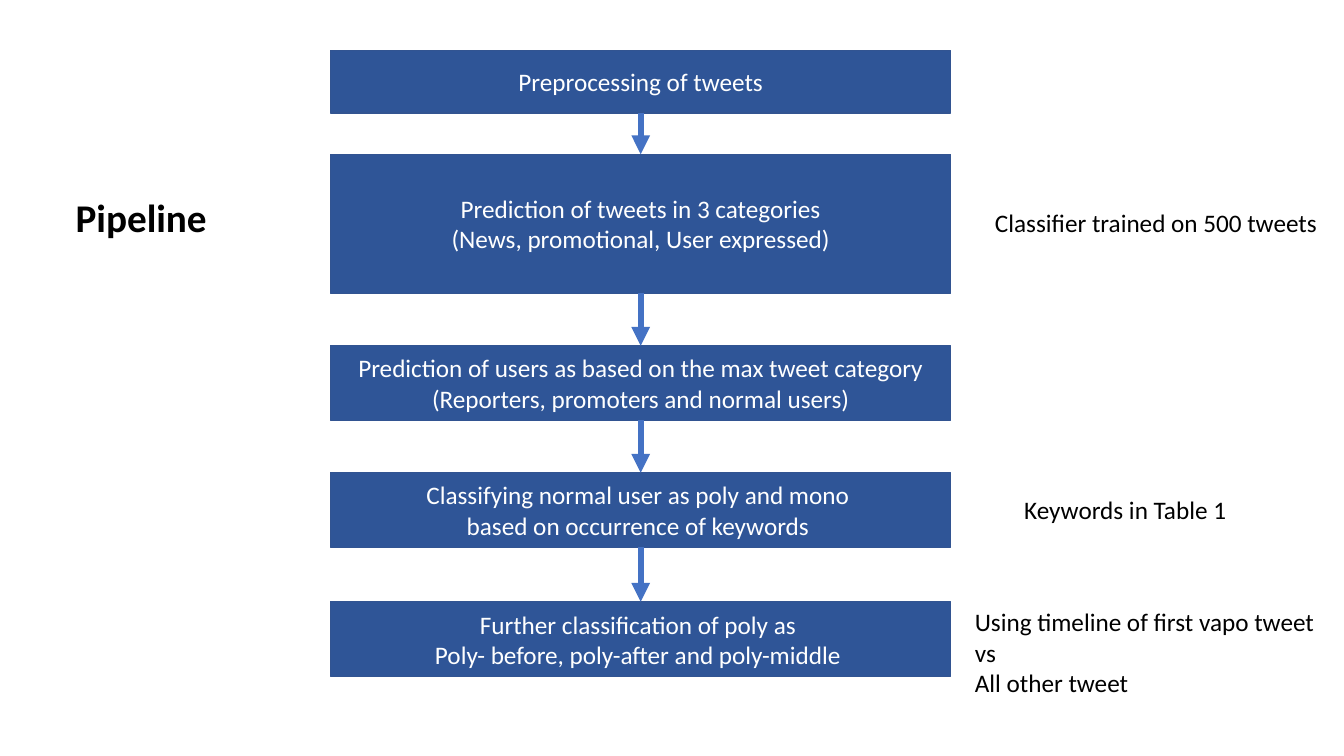
from itertools import pairwise

from lxml import etree
from pptx import Presentation
from pptx.dml.color import RGBColor
from pptx.enum.shapes import MSO_CONNECTOR, MSO_SHAPE
from pptx.enum.text import MSO_ANCHOR, MSO_AUTO_SIZE, PP_ALIGN
from pptx.oxml.ns import qn
from pptx.util import Inches, Pt

RECTANGLE, STRAIGHT = MSO_SHAPE.RECTANGLE, MSO_CONNECTOR.STRAIGHT
LEFT, CENTER = PP_ALIGN.LEFT, PP_ALIGN.CENTER
TOP, MIDDLE = MSO_ANCHOR.TOP, MSO_ANCHOR.MIDDLE
NO_FIT, FIT_SHAPE = MSO_AUTO_SIZE.NONE, MSO_AUTO_SIZE.SHAPE_TO_FIT_TEXT
BOX_FILL = RGBColor(0x2F, 0x55, 0x97)
BOX_LINE = RGBColor(0x32, 0x54, 0x91)
ARROW = RGBColor(0x44, 0x72, 0xC4)
BLACK = RGBColor(0, 0, 0)
WHITE = RGBColor(0xFF, 0xFF, 0xFF)
FONT = "Calibri"
BOTTOM_SITE, TOP_SITE = 2, 0

# Content: "\v" breaks a line, "\n" starts a paragraph
TITLE = ("Pipeline", (0.65, 1.87, 1.52, 0.57))
STEPS = [  # text, top, height
    ("Preprocessing of tweets", 0.5, 0.62),
    ("Prediction of tweets in 3 categories\v"
     "(News, promotional, User expressed)", 1.53, 1.38),
    ("Prediction of users as based on the max tweet category\n"
     "(Reporters, promoters and normal users)", 3.43, 0.74),
    ("Classifying normal user as poly and mono \v"
     "based on occurrence of keywords ", 4.69, 0.74),
    ("Further classification of poly as \v"
     "Poly- before, poly-after and poly-middle ", 5.97, 0.74),
]
NOTES = [  # text, (left, top, width, height)
    ("Classifier trained on 500 tweets", (9.77, 2.01, 3.43, 0.4)),
    ("Keywords in Table 1 ", (10.06, 4.86, 2.29, 0.4)),
    ("Using timeline of first vapo tweet vs\nAll other tweet",
     (9.57, 5.97, 3.76, 0.71)),
]
STEP_LEFT, STEP_WIDTH = 3.28, 6.15


def write(shape, text, color, size=18, bold=False, align=LEFT,
          anchor=TOP, wrap=False, fit=FIT_SHAPE):
    frame = shape.text_frame
    frame.text = text
    frame_format = {"word_wrap": wrap, "auto_size": fit,
                    "vertical_anchor": anchor}
    for name, value in frame_format.items():
        setattr(frame, name, value)
    font_format = {"name": FONT, "size": Pt(size), "bold": bold}
    for para in frame.paragraphs:
        para.alignment = align
        for span in para.runs:
            for name, value in font_format.items():
                setattr(span.font, name, value)
            span.font.color.rgb = color


def add_step(page, text, top, height):
    box = page.shapes.add_shape(
        RECTANGLE, *map(Inches, (STEP_LEFT, top, STEP_WIDTH, height)))
    box.shadow.inherit = False
    box.fill.solid()
    box.fill.fore_color.rgb = BOX_FILL
    box.line.color.rgb = BOX_LINE
    box.line.width = Pt(1)
    write(box, text, WHITE, align=CENTER, anchor=MIDDLE, wrap=True, fit=NO_FIT)
    return box


def add_arrow(page, upper, lower):
    arrow = page.shapes.add_connector(STRAIGHT, 0, 0, 0, 0)
    arrow.begin_connect(upper, BOTTOM_SITE)
    arrow.end_connect(lower, TOP_SITE)
    arrow.line.color.rgb = ARROW
    arrow.line.width = Pt(4.5)
    etree.SubElement(arrow.line._get_or_add_ln(), qn("a:tailEnd"), type="triangle")
    etree.SubElement(arrow._element.spPr, qn("a:effectLst"))


deck = Presentation()
deck.slide_width, deck.slide_height = Inches(13.33), Inches(7.5)
page = deck.slides.add_slide(deck.slide_layouts.get_by_name("Title Only"))

# Title
title = page.shapes.title
text, place = TITLE
title.left, title.top, title.width, title.height = map(Inches, place)
write(title, text, BLACK, size=28, bold=True)

# Pipeline steps, joined by arrows
boxes = [add_step(page, *step) for step in STEPS]
for upper, lower in pairwise(boxes):
    add_arrow(page, upper, lower)

# Side notes
for text, place in NOTES:
    write(page.shapes.add_textbox(*map(Inches, place)), text, BLACK)

deck.save("out.pptx")
